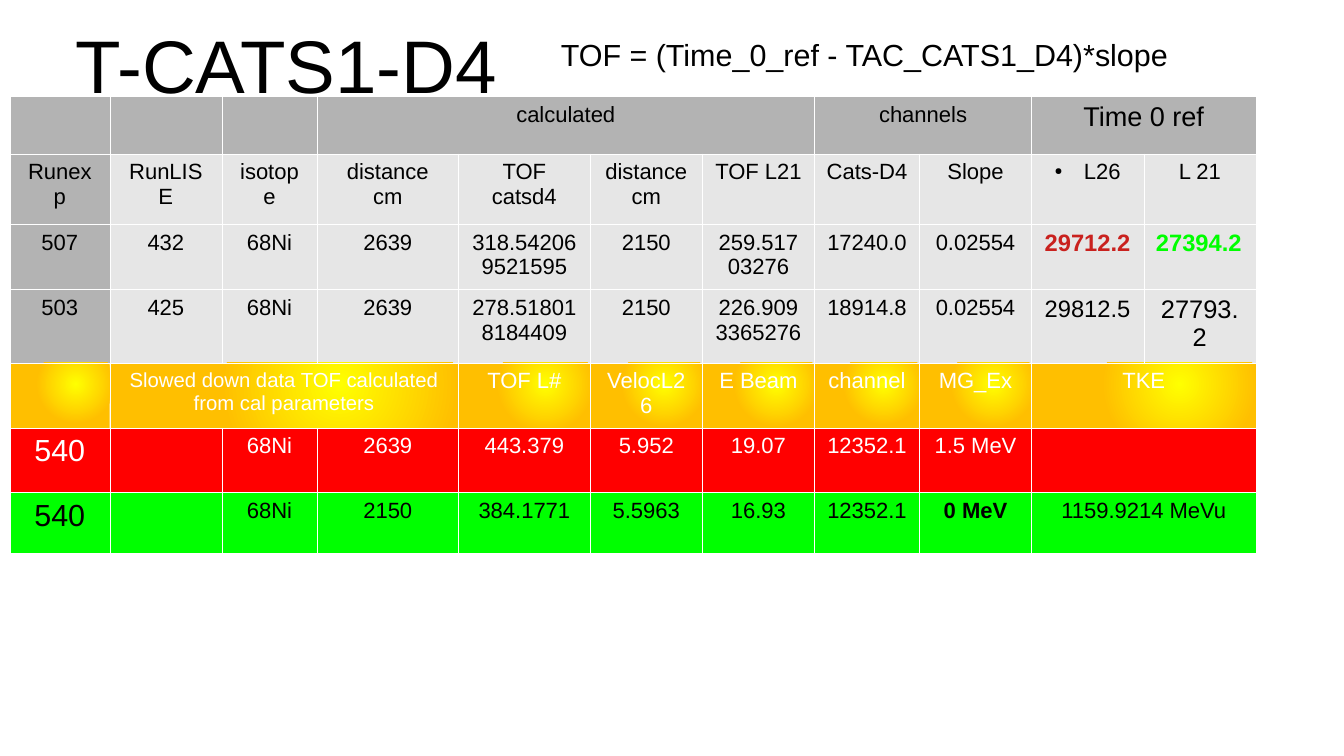
"""Build the T-CATS1-D4 time-of-flight slide with its calibration table."""
from lxml.etree import SubElement
from pptx import Presentation
from pptx.dml.color import RGBColor
from pptx.enum.text import MSO_ANCHOR, MSO_AUTO_SIZE, PP_ALIGN
from pptx.oxml import parse_xml
from pptx.oxml.ns import nsdecls, qn
from pptx.util import Inches, Pt

BLACK = RGBColor(0x00, 0x00, 0x00)
WHITE = RGBColor(0xFF, 0xFF, 0xFF)
GRAY = RGBColor(0xB3, 0xB3, 0xB3)
LIGHT_GRAY = RGBColor(0xE6, 0xE6, 0xE6)
RED = RGBColor(0xFF, 0x00, 0x00)
DARK_RED = RGBColor(0xC9, 0x21, 0x1E)
GREEN = RGBColor(0x00, 0xFF, 0x00)
YELLOW = RGBColor(0xFF, 0xFF, 0x00)
AMBER = RGBColor(0xFF, 0xBF, 0x00)

COLUMN_WIDTHS = [0.82, 0.92, 0.78, 1.16, 1.08, 0.92, 0.92, 0.86, 0.92, 0.92, 0.92]
ROW_HEIGHTS = [0.47, 0.58, 0.53, 0.6, 0.53, 0.53, 0.5]
MEASUREMENTS = [
    ["", "", "", "calculated", "", "", "", "channels", "", "Time 0 ref", ""],
    ["Runexp", "RunLISE", "isotope", "distance cm", "TOF catsd4", "distance cm",
     "TOF L21", "Cats-D4", "Slope", "L26", "L 21"],
    ["507", "432", "68Ni", "2639", "318.542069521595", "2150",
     "259.51703276", "17240.0", "0.02554", "29712.2", "27394.2"],
    ["503", "425", "68Ni", "2639", "278.518018184409", "2150",
     "226.9093365276", "18914.8", "0.02554", "29812.5", "27793.2"],
    ["", "Slowed down data TOF calculated from cal parameters", "", "", "TOF L#",
     "VelocL26", "E Beam", "channel", "MG_Ex", "TKE", ""],
    ["540", "", "68Ni", "2639", "443.379", "5.952",
     "19.07", "12352.1", "1.5 MeV", "", ""],
    ["540", "", "68Ni", "2150", "384.1771", "5.5963",
     "16.93", "12352.1", "0 MeV", "1159.9214 MeVu", ""],
]
ROW_FILLS = [GRAY, LIGHT_GRAY, LIGHT_GRAY, LIGHT_GRAY, None, RED, GREEN]
ROW_TEXT_COLORS = [BLACK, BLACK, BLACK, BLACK, WHITE, WHITE, BLACK]
MERGES = [(0, 3, 6), (0, 7, 8), (0, 9, 10), (4, 1, 3), (4, 9, 10), (5, 9, 10), (6, 9, 10)]
FONT_SIZES = {(0, 9): 16, (2, 9): 14, (2, 10): 14, (3, 9): 14, (3, 10): 15,
              (4, 1): 12, (5, 0): 18, (6, 0): 18}
REFERENCE_COLORS = {(2, 9): DARK_RED, (2, 10): GREEN}
BOLD_CELLS = {(2, 9), (2, 10), (6, 8)}
GLOW = f"""<a:gradFill {nsdecls('a')}><a:gsLst>
<a:gs pos="0"><a:srgbClr val="{YELLOW}"/></a:gs>
<a:gs pos="67000"><a:srgbClr val="{AMBER}"/></a:gs></a:gsLst>
<a:path path="circle"><a:fillToRect l="66000" t="33000" r="34000" b="67000"/></a:path>
</a:gradFill>"""


def set_font(paragraph, size, color, bold=False):
    paragraph.font.name = "Arial"
    paragraph.font.size = Pt(size)
    paragraph.font.color.rgb = color
    paragraph.font.bold = bold


presentation = Presentation()
presentation.slide_width = Inches(11.02)
presentation.slide_height = Inches(6.2)
slide = presentation.slides.add_slide(presentation.slide_layouts[5])

title = slide.shapes.title
title.left, title.top, title.width, title.height = 0, 0, Inches(4.7), Inches(1.04)
heading = title.text_frame
heading.text = "T-CATS1-D4"
heading.margin_left = heading.margin_right = heading.margin_top = heading.margin_bottom = 0
heading.vertical_anchor = MSO_ANCHOR.MIDDLE
heading.auto_size = MSO_AUTO_SIZE.SHAPE_TO_FIT_TEXT
heading.paragraphs[0].alignment = PP_ALIGN.CENTER
set_font(heading.paragraphs[0], 44, BLACK)

calibration = slide.shapes.add_table(
    len(ROW_HEIGHTS), len(COLUMN_WIDTHS), Inches(0.08), Inches(0.79),
    Inches(sum(COLUMN_WIDTHS)), Inches(sum(ROW_HEIGHTS))).table
calibration.first_row = False
calibration.horz_banding = False
for column, width in zip(calibration.columns, COLUMN_WIDTHS):
    column.width = Inches(width)
for row, height in zip(calibration.rows, ROW_HEIGHTS):
    row.height = Inches(height)
for r, first, last in MERGES:
    calibration.cell(r, first).merge(calibration.cell(r, last))

for r, values in enumerate(MEASUREMENTS):
    for c, value in enumerate(values):
        cell = calibration.cell(r, c)
        properties = cell._tc.get_or_add_tcPr()
        for side in ("lnL", "lnR", "lnT", "lnB"):
            properties.append(parse_xml(
                f'<a:{side} {nsdecls("a")} w="{Pt(0.06)}"><a:solidFill>'
                f'<a:srgbClr val="{WHITE}"/></a:solidFill></a:{side}>'))
        if ROW_FILLS[r] is None:
            properties.append(parse_xml(GLOW))
        else:
            cell.fill.solid()
            cell.fill.fore_color.rgb = GRAY if c == 0 and r < 4 else ROW_FILLS[r]
        cell.text = value
        paragraph = cell.text_frame.paragraphs[0]
        paragraph.alignment = PP_ALIGN.LEFT if (r, c) == (2, 10) else PP_ALIGN.CENTER
        if value == "L26":
            bullet = paragraph._p.get_or_add_pPr()
            bullet.set("marL", str(Inches(0.24)))
            bullet.set("indent", str(Inches(-0.24)))
            SubElement(SubElement(bullet, qn("a:buClr")), qn("a:srgbClr")).set("val", str(BLACK))
            SubElement(bullet, qn("a:buSzPct")).set("val", "45000")
            SubElement(bullet, qn("a:buChar")).set("char", "●")
        set_font(paragraph, FONT_SIZES.get((r, c), 13),
                 REFERENCE_COLORS.get((r, c), ROW_TEXT_COLORS[r]), (r, c) in BOLD_CELLS)

formula = slide.shapes.add_textbox(
    Inches(4.5), Inches(0.25), Inches(5.75), Inches(0.38)).text_frame
formula.word_wrap = True
formula.auto_size = MSO_AUTO_SIZE.SHAPE_TO_FIT_TEXT
formula.text = "TOF = (Time_0_ref - TAC_CATS1_D4)*slope"
set_font(formula.paragraphs[0], 18, BLACK)

presentation.save("out.pptx")
